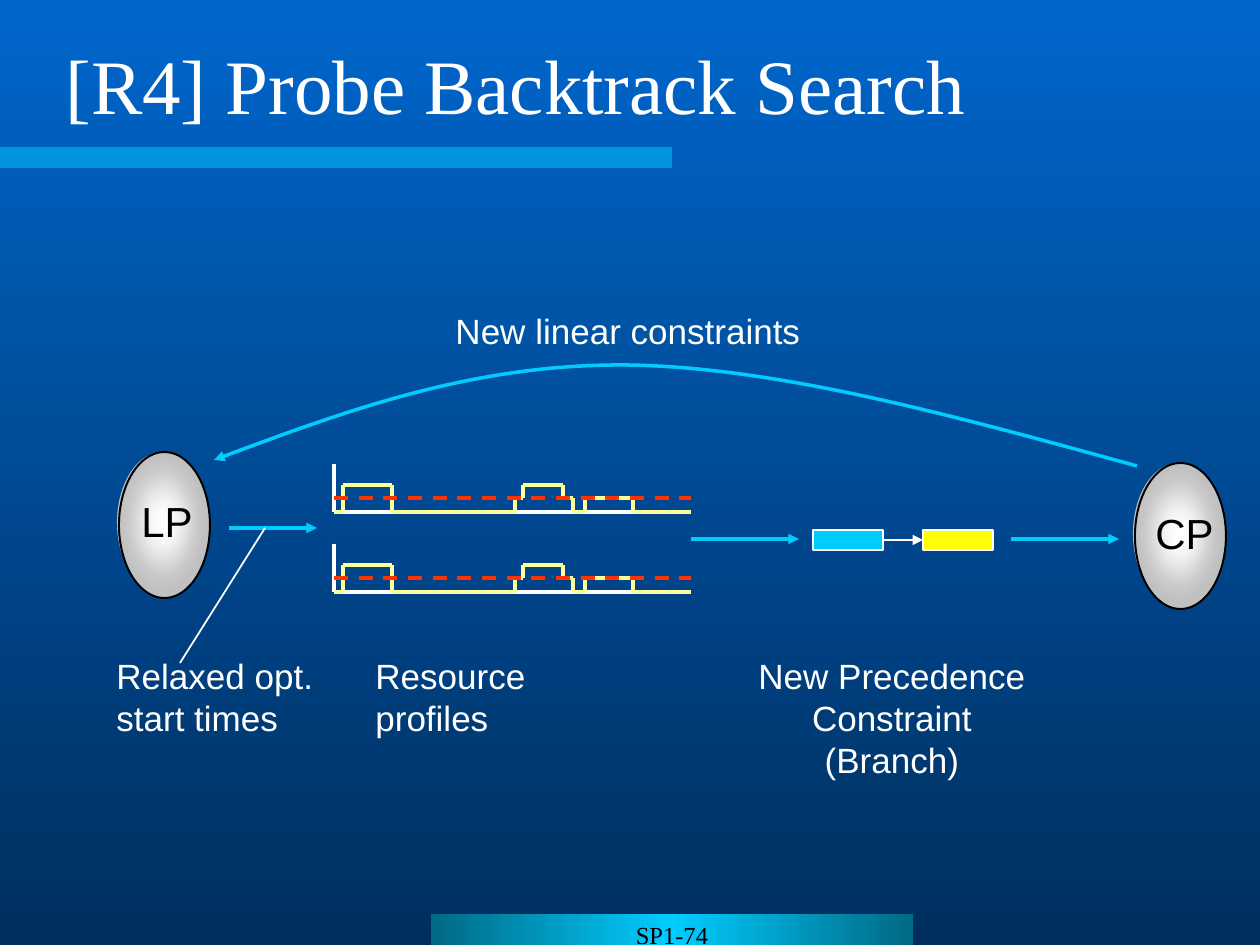
from itertools import pairwise

from lxml import etree
from pptx import Presentation
from pptx import util as u
from pptx.dml.color import RGBColor
from pptx.enum import dml, shapes, text
from pptx.oxml import ns

SCALE = 914400 / 126  # EMU in one px
WHITE, BLACK, CYAN, YELLOW = "FFFFFF", "000000", "00CCFF", "FFFF99"
GREYS = ("C0 C1 C3 C5 C7 C9 CD D0 D4 D8 DD E1 E5 EA ED F1 F4 F6 F9 FB FC FD FE FF").split()
OUTLINE = [(0, 48), (9, 48), (9, 21), (58, 21), (58, 48), (181, 48), (181, 34), (189, 34),
           (189, 21), (229, 21), (229, 34), (239, 34), (239, 48), (251, 48), (251, 34),
           (299, 34), (299, 48), (357, 48)]
LABEL = {"name": "Arial", "size": u.Pt(20)}
LEFT, CENTER = text.PP_ALIGN.LEFT, text.PP_ALIGN.CENTER


def px(*lengths):
    return [u.Emu(round(length * SCALE)) for length in lengths]


def paint(fill, colour):
    fill.solid()
    fill.fore_color.rgb = RGBColor.from_string(colour)


def child(parent, tag, **attributes):
    return etree.SubElement(parent, ns.qn(tag), **attributes)


def gradient(owner, fill, colours, angle):
    fill.gradient()
    fill.gradient_angle = angle
    stops = next(owner.element.iter(ns.qn("a:gsLst")))
    for stop in list(stops):
        stops.remove(stop)
    for i, colour in enumerate(colours):
        stop = child(stops, "a:gs", pos=str(100000 * i // (len(colours) - 1)))
        child(stop, "a:srgbClr", val=colour)


def stroke(line, colour, width, arrow=False, dash=None):
    paint(line.fill, colour)
    line.width = u.Pt(width)
    if dash:
        line.dash_style = dash
    if arrow:
        child(line._get_or_add_ln(), "a:tailEnd", type="triangle")


def add_preset(parts, kind, box, fill=None, line=None, width=1):
    shape = parts.add_shape(kind, *px(*box))
    shape.shadow.inherit = False
    if fill:
        paint(shape.fill, fill)
    else:
        shape.fill.background()
    if line:
        stroke(shape.line, line, width)
    else:
        shape.line.fill.background()
    return shape


def add_line(parts, start, end, colour, width=2, **options):
    line = parts.add_connector(shapes.MSO_CONNECTOR.STRAIGHT, *px(*start, *end))
    stroke(line.line, colour, width, **options)
    child(line.element.spPr, "a:effectLst")
    return line


def write(frame, lines, colour, font, align=LEFT):
    for i, words in enumerate(lines):
        para = frame.paragraphs[0] if i == 0 else frame.add_paragraph()
        para.alignment = align
        span = para.add_run()
        span.text = words
        for name, value in font.items():
            setattr(span.font, name, value)
        paint(span.font.fill, colour)


def add_label(parts, box, lines, colour=WHITE, font=LABEL, align=LEFT):
    frame = parts.add_textbox(*px(*box)).text_frame
    frame.word_wrap = False
    frame.auto_size = text.MSO_AUTO_SIZE.SHAPE_TO_FIT_TEXT
    write(frame, lines, colour, font, align)


def title_region(page, box):
    x, y, width, height = box
    frame = page.shapes.add_textbox(*px(x, y, width, height)).text_frame
    frame.word_wrap = True
    frame.vertical_anchor = text.MSO_ANCHOR.MIDDLE
    write(frame, ["[R4] Probe Backtrack Search"], WHITE,
          {"name": "Times New Roman", "size": u.Pt(44)})


def frame_region(page, box):
    x, y, width, height = box
    gradient(page, page.background.fill, ["0066CC", "002F5E"], 270)
    # Half-transparent rule under the title
    rule = add_preset(page.shapes, shapes.MSO_SHAPE.RECTANGLE, (x, y + 147, 672, 21), CYAN)
    child(next(rule.element.spPr.iter(ns.qn("a:srgbClr"))), "a:alpha", val="50000")
    # Page number strip
    strip = add_preset(page.shapes, shapes.MSO_SHAPE.RECTANGLE,
                       (x + 431, y + height - 31, 482, 31), CYAN)
    gradient(strip, strip.fill, ["006984", CYAN, "006984"], 180)
    strip.text_frame.vertical_anchor = text.MSO_ANCHOR.TOP
    write(strip.text_frame, ["SP1-74"], BLACK,
          {"name": "Times New Roman", "size": u.Pt(14)}, CENTER)


def solver(page, box, name, label_box):
    """Shaded ellipse made of ever lighter, smaller ellipses."""
    x, y, width, height = box
    parts = page.shapes.add_group_shape().shapes
    oval = shapes.MSO_SHAPE.OVAL
    add_preset(parts, oval, box, "C0C0C0")
    for i, grey in enumerate(GREYS):
        ring = (x - 2 + 2 * i, y + 3 * i, width - 3.85 * i, height - 5 - 6 * i)
        add_preset(parts, oval, ring, grey * 3)
    add_preset(parts, oval, box, line=BLACK, width=1.13)
    dx, dy, label_width, label_height = label_box
    add_label(parts, (x + dx, y + dy, label_width, label_height), [name], BLACK,
              {"name": "Arial", "size": u.Pt(24)})


def profile(parts, box):
    x, y, width, height = box
    base = y + height
    add_line(parts, (x, y), (x, base), WHITE)
    add_line(parts, (x, base), (x + width, base), WHITE)
    for start, end in pairwise((x + dx, y + dy) for dx, dy in OUTLINE):
        add_line(parts, start, end, YELLOW)
    # Capacity limit
    add_line(parts, (x, y + 34), (x + width, y + 34), "FF3300",
             dash=dml.MSO_LINE.DASH)


def resource_region(page, box):
    x, y, width, height = box
    parts = page.shapes.add_group_shape().shapes
    for row in (1, 0):
        profile(parts, (x + 229, y + 80 * row, 357, 48))
    add_label(parts, (x + 258, y + 184, 175, 97), ["Resource", "profiles"])
    add_line(parts, (x + 124, y + 64), (x + 212, y + 64), CYAN, arrow=True)
    add_line(parts, (x + 160, y + 64), (x + 75, y + 199), WHITE, 1)
    add_label(parts, (x - 1, y + 184, 222, 97), ["Relaxed opt.", "start times"])


def feedback_region(page, box):
    x, y, width, height = box
    parts = page.shapes.add_group_shape().shapes
    # Two cubic curves: three points each after the start
    points = [(923, 162), (744, 113), (566, 63), (412, 61), (259, 60), (129, 108), (0, 156)]
    start, *others = [(x + dx, y + dy) for dx, dy in points]
    builder = parts.build_freeform(*start, scale=SCALE)
    builder.add_line_segments(others, close=False)
    curve = builder.convert_to_shape()
    path = next(curve.element.iter(ns.qn("a:path")))
    steps = path.findall(ns.qn("a:lnTo"))
    for first in range(0, len(steps), 3):
        bend = child(path, "a:cubicBezTo")
        for step in steps[first:first + 3]:
            bend.append(step[0])
            path.remove(step)
    curve.fill.background()
    curve.shadow.inherit = False
    stroke(curve.line, CYAN, 2, arrow=True)
    add_label(parts, (x + 229, y - 1, 370, 55), ["New linear constraints"], align=CENTER)


def branch_region(page, box):
    x, y, width, height = box
    add_line(page.shapes, (x + 320, y + 9), (x + 428, y + 9), CYAN, arrow=True)
    parts = page.shapes.add_group_shape().shapes
    add_line(parts, (x, y + 9), (x + 108, y + 9), CYAN, arrow=True)
    add_label(parts, (x + 55, y + 118, 292, 139),
              ["New Precedence", "Constraint", "(Branch)"], align=CENTER)
    before, after = [
        add_preset(parts, shapes.MSO_SHAPE.RECTANGLE, (x + dx, y, 70, 20), fill, WHITE, 0.75)
        for dx, fill in ((122, CYAN), (232, "FFFF00"))]
    link = add_line(parts, (x + 192, y + 10), (x + 232, y + 10), WHITE, 0.75, arrow=True)
    link.begin_connect(before, 3)
    link.end_connect(after, 1)


def main():
    deck = Presentation()
    deck.slide_width, deck.slide_height = px(1260, 945)
    page = deck.slides.add_slide(deck.slide_layouts[6])
    frame_region(page, (0, 0, 1260, 945))
    solver(page, (1135, 463, 91, 146), "CP", (8, 38, 88, 63))
    solver(page, (119, 452, 91, 146), "LP", (10, 37, 80, 63))
    resource_region(page, (105, 464, 586, 281))
    feedback_region(page, (214, 304, 923, 162))
    branch_region(page, (691, 530, 428, 257))
    title_region(page, (53, 31, 1166, 105))
    deck.save("out.pptx")


if __name__ == "__main__":
    main()
